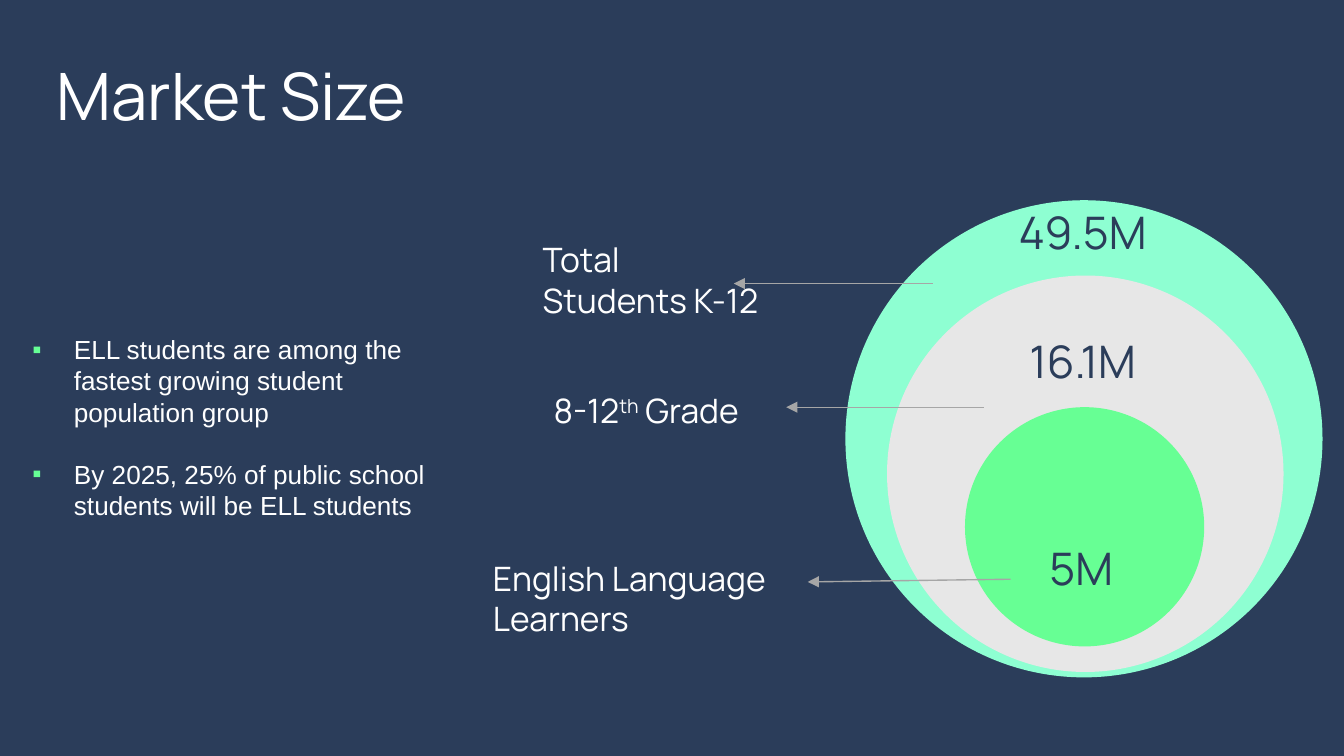
from typing import NamedTuple

from lxml.etree import SubElement
from pptx import Presentation
from pptx.dml.color import RGBColor
from pptx.enum.shapes import MSO_CONNECTOR as Connector, MSO_SHAPE as Shape
from pptx.enum.text import MSO_ANCHOR as Anchor, MSO_AUTO_SIZE as AutoSize, PP_ALIGN as Align
from pptx.oxml.ns import qn
from pptx.util import Inches, Pt

COLORS = {
    "navy": "2B3D5A", "white": "FFFFFF", "mint": "8EFFD2", "gray": "E7E7E7",
    "green": "67FF94", "bullet": "66FF95", "arrow": "A6A6A6",
}


class Circle(NamedTuple):
    left: float
    top: float
    size: float
    color: str


class Label(NamedTuple):
    lines: list[str]
    left: float
    top: float
    width: float
    height: float
    inset: float = 0.1
    size: int = 18
    color: str = "white"
    align: Align = Align.LEFT


class Arrow(NamedTuple):
    start: tuple[float, float]
    end: tuple[float, float]


def rgb(name: str) -> RGBColor:
    return RGBColor.from_string(COLORS[name])


def set_font(font, name: str, size: int, color: str) -> None:
    for key, value in {"name": name, "size": Pt(size), "bold": False}.items():
        setattr(font, key, value)
    font.color.rgb = rgb(color)


def set_frame(frame, inset: float) -> None:
    margin = Inches(inset)
    formats = {
        "word_wrap": True, "auto_size": AutoSize.NONE, "vertical_anchor": Anchor.TOP,
        "margin_left": Inches(0.1), "margin_right": Inches(0.1),
        "margin_top": margin, "margin_bottom": margin,
    }
    for key, value in formats.items():
        setattr(frame, key, value)


def place(box, left: float, top: float, width: float, height: float) -> None:
    for key, value in zip(("left", "top", "width", "height"), (left, top, width, height)):
        setattr(box, key, Inches(value))


def draw_circle(shapes, circle: Circle) -> None:
    disc = shapes.add_shape(Shape.OVAL, *map(Inches, (circle.left, circle.top, circle.size, circle.size)))
    disc.shadow.inherit = False
    disc.fill.solid()
    disc.fill.fore_color.rgb = rgb(circle.color)
    disc.line.fill.background()


def draw_label(shapes, label: Label) -> None:
    box = shapes.add_textbox(*map(Inches, (label.left, label.top, label.width, label.height)))
    set_frame(box.text_frame, label.inset)
    box.text_frame.text = "\n".join(label.lines)
    for para in box.text_frame.paragraphs:
        para.alignment = label.align
        # A caret pair marks superscript text
        parts = para.text.split("^")
        para.clear()
        for index, part in enumerate(parts):
            span = para.add_run()
            span.text = part
            set_font(span.font, "Manrope", label.size, label.color)
            if index % 2:
                span._r.get_or_add_rPr().set("baseline", "30000")


def draw_arrow(shapes, arrow: Arrow) -> None:
    line = shapes.add_connector(Connector.STRAIGHT, *map(Inches, arrow.start + arrow.end))
    line.line.color.rgb = rgb("arrow")
    line.line.width = Pt(0.75)
    SubElement(line.line._get_or_add_ln(), qn("a:tailEnd"), type="triangle")
    SubElement(line._element.spPr, qn("a:effectLst"))


def add_bullet(para) -> None:
    properties = para._p.get_or_add_pPr()
    properties.set("marL", str(Inches(0.31)))
    properties.set("indent", str(Inches(-0.31)))
    color = SubElement(properties, qn("a:buClr"))
    SubElement(color, qn("a:srgbClr"), val=COLORS["bullet"])
    SubElement(properties, qn("a:buFont"), typeface="Arial")
    SubElement(properties, qn("a:buChar"), char="▪")


def value_label(text: str, left: float, top: float) -> Label:
    return Label([text], left, top, 1.39, 0.61, size=24, color="navy", align=Align.CENTER)


OUTER = Circle(6.29, 1.49, 3.55, "mint")
INNER = [Circle(6.6, 2.05, 2.95, "gray"), Circle(7.18, 3.03, 1.78, "green")]
VALUES = [
    value_label("49.5M", 7.36, 1.42),
    value_label("16.1M", 7.36, 2.38),
    value_label("5M", 7.35, 3.92),
]
LABELS = [
    Label(["Total", "Students K-12"], 3.94, 1.68, 2.66, 0.46),
    Label(["8-12^th^ Grade"], 4.02, 2.85, 1.72, 0.4, inset=0.05),
    Label(["English Language", "Learners"], 3.57, 4.05, 3.5, 0.72),
]
ARROWS = [
    Arrow((6.94, 2.11), (5.46, 2.11)),
    Arrow((7.32, 3.03), (5.85, 3.03)),
    Arrow((7.52, 4.31), (6.01, 4.33)),
]
POINTS = [
    "ELL students are among the fastest growing student population group",
    "By 2025, 25% of public school students will be ELL students",
]


def main() -> None:
    deck = Presentation()
    # Widescreen, 16 by 9
    deck.slide_width, deck.slide_height = Inches(10), Inches(10 * 9 / 16)
    page = deck.slides.add_slide(deck.slide_layouts[1])
    page.background.fill.solid()
    page.background.fill.fore_color.rgb = rgb("navy")

    # Title
    title = page.shapes.title
    place(title, 0.32, 0.31, 8.43, 0.63)
    set_frame(title.text_frame, 0.1)
    title.text_frame.text = "Market Size"
    title.text_frame.paragraphs[0].alignment = Align.LEFT
    set_font(title.text_frame.paragraphs[0].runs[0].font, "Manrope", 35, "white")

    # Bullet list
    body = page.placeholders[1]
    place(body, 0.14, 2.43, 3.29, 1.51)
    set_frame(body.text_frame, 0.05)
    body.text_frame.text = "\n".join(POINTS)
    for index, para in enumerate(body.text_frame.paragraphs):
        add_bullet(para)
        para.space_before = Pt(16.5 if index else 0)
        set_font(para.runs[0].font, "Arial", 14, "white")

    # Title and list share the page colour
    for box in (title, body):
        box.fill.solid()
        box.fill.fore_color.rgb = rgb("navy")

    # Nested market circles with their values
    draw_circle(page.shapes, OUTER)
    market = page.shapes.add_group_shape()
    for circle in INNER:
        draw_circle(market.shapes, circle)
    for value in VALUES:
        draw_label(market.shapes, value)

    # Labels and arrows
    for label in LABELS:
        draw_label(page.shapes, label)
    for arrow in ARROWS:
        draw_arrow(page.shapes, arrow)

    deck.save("out.pptx")


if __name__ == "__main__":
    main()
